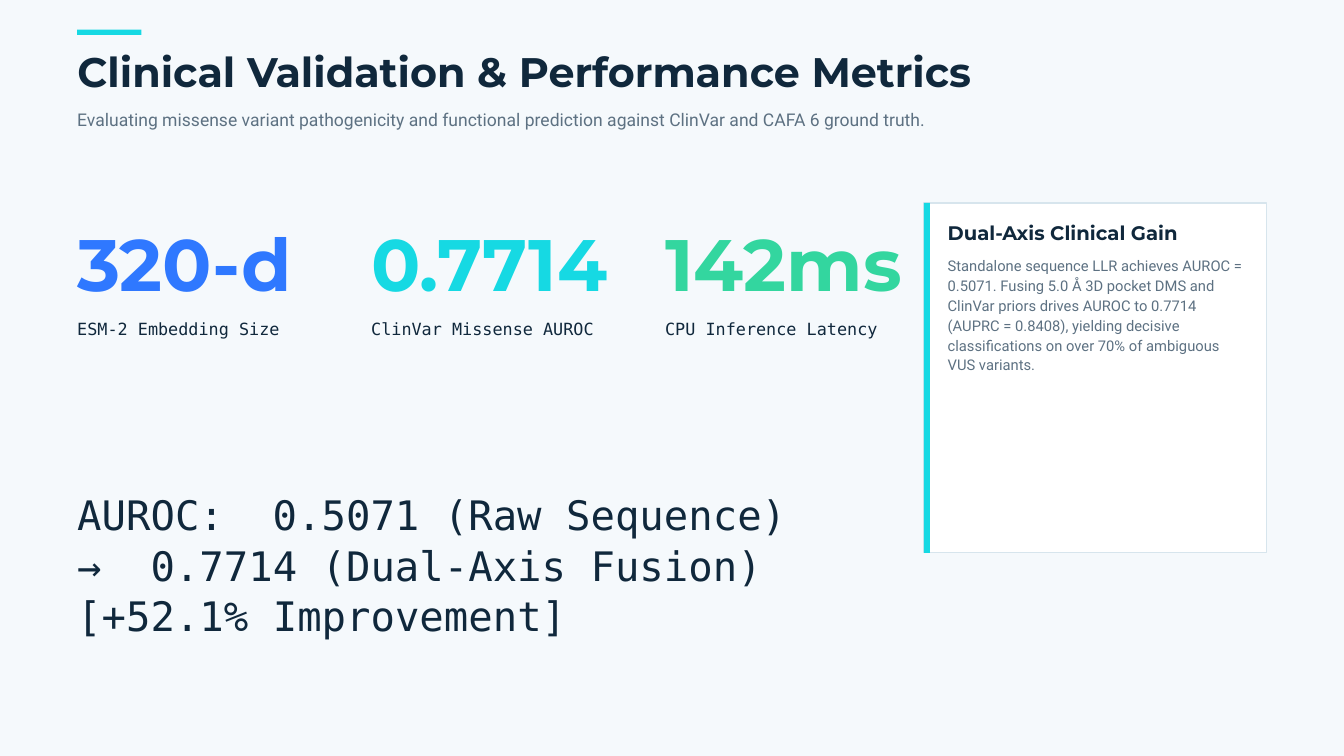
"""Build the clinical validation and performance metrics slide."""
from lxml import etree
from pptx import Presentation, util as u
from pptx.dml.color import RGBColor
from pptx.enum import shapes, text
from pptx.oxml.ns import qn

HUES = {"bg": "F5F9FC", "ink": "10283C", "grey": "5D7182", "cyan": "16D9E3",
        "blue": "2F78FF", "green": "33D69F", "white": "FFFFFF", "edge": "D7E5ED"}
SANS, BODY, MONO = "Montserrat", "Roboto", "DejaVu Sans Mono"
STYLES = {
    "title": (46, {"size": u.Pt(44.2), "name": SANS, "bold": True}),
    "lead": (25.3, {"size": u.Pt(18.8), "name": BODY, "bold": False}),
    "stat": (81.1, {"size": u.Pt(78), "name": SANS, "bold": True}),
    "label": (22.5, {"size": u.Pt(18), "name": MONO, "bold": False}),
    "head": (21.8, {"size": u.Pt(21), "name": SANS, "bold": True}),
    "note": (21.3, {"size": u.Pt(15.8), "name": BODY, "bold": False}),
    "sum": (54.4, {"size": u.Pt(43.5), "name": MONO, "bold": False}),
}
TITLE = "Clinical Validation & Performance Metrics"
LEAD = ("Evaluating missense variant pathogenicity and functional prediction "
        "against ClinVar and CAFA 6 ground truth.")
STATS = [("320-d", "ESM-2 Embedding Size", "blue"),
         ("0.7714", "ClinVar Missense AUROC", "cyan"),
         ("142ms", "CPU Inference Latency", "green")]
HEAD = "Dual-Axis Clinical Gain"
NOTE = ("Standalone sequence LLR achieves AUROC = 0.5071. Fusing 5.0 Å 3D pocket "
        "DMS and ClinVar priors drives AUROC to 0.7714 (AUPRC = 0.8408), yielding "
        "decisive classifications on over 70% of ambiguous VUS variants.")
SUM = ["AUROC:\t0.5071 (Raw Sequence)", "→\t0.7714 (Dual-Axis Fusion)",
       "[+52.1% Improvement]"]
STOPS = [2.77, 7.39]
LEFT, STEP = 2.92, 11.11
CARD = (34.92, 7.67, 12.95, 13.23)
BAR = 0.23


def tint(key):
    return RGBColor.from_string(HUES[key])


def place(shape, box):
    for name, size in zip(("left", "top", "width", "height"), box):
        setattr(shape, name, u.Cm(size))


def write(shape, box, words, style, hue="ink", stops=()):
    place(shape, box)
    frame = shape.text_frame
    form = {"margin_left": 0, "margin_top": 0, "margin_right": 0,
            "margin_bottom": 0, "word_wrap": True,
            "auto_size": text.MSO_AUTO_SIZE.NONE,
            "vertical_anchor": text.MSO_ANCHOR.TOP}
    for name, value in form.items():
        setattr(frame, name, value)
    para = frame.paragraphs[0]
    para.text = words
    if stops:
        tabs = etree.SubElement(para._p.get_or_add_pPr(), qn("a:tabLst"))
        for stop in stops:
            etree.SubElement(tabs, qn("a:tab"), pos=str(u.Cm(stop)), algn="l")
    pitch, font = STYLES[style]
    para.alignment = text.PP_ALIGN.LEFT
    para.line_spacing = u.Pt(pitch)
    for run in para.runs:
        for name, value in font.items():
            setattr(run.font, name, value)
        run.font.color.rgb = tint(hue)


def label(slide, box, *rest):
    write(slide.shapes.add_textbox(0, 0, 0, 0), box, *rest)


def block(slide, box, hue, edge=None):
    shape = slide.shapes.add_shape(shapes.MSO_SHAPE.RECTANGLE, 0, 0, 0, 0)
    place(shape, box)
    shape.shadow.inherit = False
    shape.fill.solid()
    shape.fill.fore_color.rgb = tint(hue)
    if edge:
        shape.line.color.rgb = tint(edge)
        shape.line.width = u.Pt(1.5)
    else:
        shape.line.fill.background()


def main():
    deck = Presentation()
    deck.slide_width, deck.slide_height = u.Cm(50.8), u.Cm(28.58)
    slide = deck.slides.add_slide(deck.slide_layouts[5])
    slide.background.fill.solid()
    slide.background.fill.fore_color.rgb = tint("bg")

    write(slide.shapes.title, (LEFT, 1.98, 39.67, 1.68), TITLE, "title")
    label(slide, (LEFT, 4.04, 37.57, 0.84), LEAD, "lead", "grey")
    block(slide, (LEFT, 1.12, 2.43, 0.2), "cyan")

    for i, (value, name, hue) in enumerate(STATS):
        x = LEFT + i * STEP
        label(slide, (x, 8.71, 9, 3.05), value, "stat", hue)
        label(slide, (x, 12.01, 9, 0.79), name, "label")

    x, y, wide, high = CARD
    block(slide, CARD, "white", "edge")
    block(slide, (x, y, BAR, high), "cyan")
    label(slide, (x + 0.9, y + 0.81, 11.25, 0.81), HEAD, "head")
    label(slide, (x + 0.9, y + 1.96, 11.25, 4.4), NOTE, "note", "grey")

    label(slide, (LEFT, 18.44, 29.1, 5.72), "\v".join(SUM), "sum", "ink", STOPS)
    deck.save("out.pptx")


if __name__ == "__main__":
    main()
